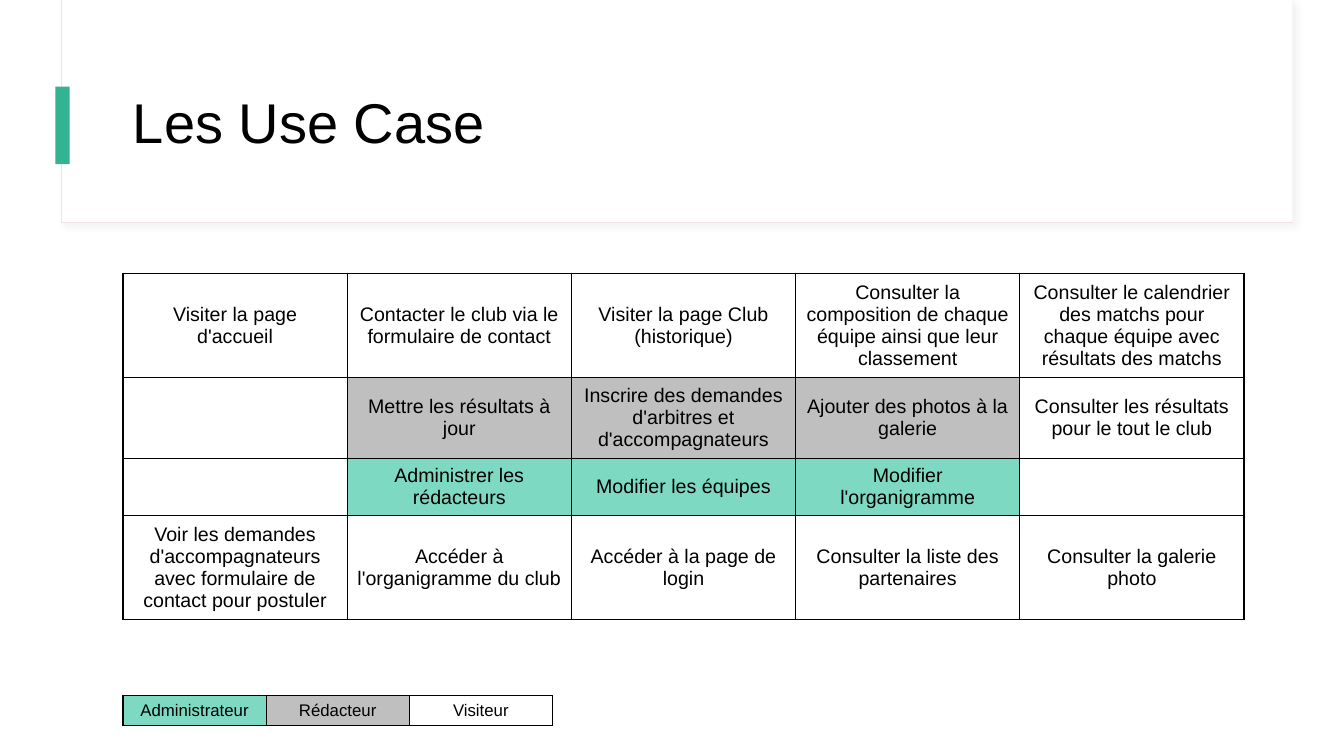
from lxml.etree import SubElement
from pptx import Presentation
from pptx.dml.color import RGBColor
from pptx.enum.shapes import MSO_SHAPE as Shape
from pptx.enum.text import MSO_ANCHOR as Anchor, PP_ALIGN as Align
from pptx.oxml.ns import qn
from pptx.util import Inches, Pt

TITLE = "Les Use Case"
# Each cell holds its wording and the role that owns the use case.
USE_CASES = [
    [("Visiter la page d'accueil", "visitor"),
     ("Contacter le club via le formulaire de contact", "visitor"),
     ("Visiter la page Club (historique)", "visitor"),
     ("Consulter la composition de chaque équipe ainsi que leur classement", "visitor"),
     ("Consulter le calendrier des matchs pour chaque équipe avec résultats des matchs",
      "visitor")],
    [("", "visitor"),
     ("Mettre les résultats à jour", "editor"),
     ("Inscrire des demandes d'arbitres et d'accompagnateurs", "editor"),
     ("Ajouter des photos à la galerie", "editor"),
     ("Consulter les résultats pour le tout le club", "visitor")],
    [("", "visitor"),
     ("Administrer les rédacteurs", "admin"),
     ("Modifier les équipes", "admin"),
     ("Modifier l'organigramme", "admin"),
     ("", "visitor")],
    [("Voir les demandes d'accompagnateurs avec formulaire de contact pour postuler",
      "visitor"),
     ("Accéder à l'organigramme du club", "visitor"),
     ("Accéder à la page de login", "visitor"),
     ("Consulter la liste des partenaires", "visitor"),
     ("Consulter la galerie photo", "visitor")],
]
LEGEND = [[("Administrateur", "admin"), ("Rédacteur", "editor"), ("Visiteur", "visitor")]]

THEME = {
    "font": "Arial", "text": "000000", "border": "000000", "border_width": 1,
    "panel": "FFFFFF", "panel_line": "F0E5E5", "panel_line_width": 0.75,
    "accent": "34B392", "shadow": "D9D9D9",
    "roles": {"admin": "7DD9C1", "editor": "BFBFBF", "visitor": None},
    "title_size": 40, "case_size": 14, "legend_size": 12,
}
SLIDE_SIZE = (13.33, 7.5)
MARGIN = 1.22
CONTENT_WIDTH = 11.12
CASE_TOP, CASE_ROWS = 2.71, [0.97, 0.75, 0.54, 0.97]
LEGEND_TOP, LEGEND_ROWS, LEGEND_WIDTH = 6.9, [0.29], 4.26


def colour(code):
    """Return the colour for a hexadecimal code."""
    return RGBColor.from_string(code)


def add_box(slide, place, fill, line=None):
    """Add a plain rectangle, outlined only when a line colour is given."""
    shape = slide.shapes.add_shape(Shape.RECTANGLE, *map(Inches, place))
    shape.shadow.inherit = False
    shape.fill.solid()
    shape.fill.fore_color.rgb = colour(fill)
    if line:
        shape.line.color.rgb = colour(line)
        shape.line.width = Pt(THEME["panel_line_width"])
    else:
        shape.line.fill.background()
    return shape


def add_shadow(shape):
    """Give a shape a soft shadow towards its lower right."""
    effects = shape.element.spPr.find(qn("a:effectLst"))
    shadow = SubElement(effects, qn("a:outerShdw"), blurRad=str(Pt(4)), dist=str(Pt(3)),
                        dir=str(45 * 60000), algn="tl", rotWithShape="0")
    tint = SubElement(shadow, qn("a:srgbClr"), val=THEME["shadow"])
    SubElement(tint, qn("a:alpha"), val="30000")


def write(frame, text, size, **paragraph_format):
    """Write one vertically centred paragraph into a text frame."""
    frame.word_wrap = True
    frame.vertical_anchor = Anchor.MIDDLE
    paragraph = frame.paragraphs[0]
    for name, value in paragraph_format.items():
        setattr(paragraph, name, value)
    paragraph.font.size = Pt(size)
    if text:
        run = paragraph.add_run()
        run.text = text
        for name, value in {"name": THEME["font"], "size": Pt(size)}.items():
            setattr(run.font, name, value)
        run.font.color.rgb = colour(THEME["text"])


def add_borders(cell):
    """Draw a thin line on all four sides of a cell."""
    properties = cell._tc.get_or_add_tcPr()
    for side in ("lnL", "lnR", "lnT", "lnB"):
        line = SubElement(properties, qn(f"a:{side}"), w=str(Pt(THEME["border_width"])))
        fill = SubElement(line, qn("a:solidFill"))
        SubElement(fill, qn("a:srgbClr"), val=THEME["border"])


def add_role_table(slide, rows, top, width, heights, size):
    """Add a table of equal columns whose cells take their role's colour."""
    place = map(Inches, (MARGIN, top, width, sum(heights)))
    table = slide.shapes.add_table(len(rows), len(rows[0]), *place).table
    table.first_row = table.horz_banding = False
    for column in table.columns:
        column.width = Inches(width / len(rows[0]))
    for row_index, (row, height) in enumerate(zip(rows, heights)):
        table.rows[row_index].height = Inches(height)
        for column_index, (text, role) in enumerate(row):
            cell = table.cell(row_index, column_index)
            cell.vertical_anchor = Anchor.MIDDLE
            write(cell.text_frame, text, size, alignment=Align.CENTER)
            add_borders(cell)
            fill = THEME["roles"][role]
            if fill:
                cell.fill.solid()
                cell.fill.fore_color.rgb = colour(fill)
            else:
                cell.fill.background()


presentation = Presentation()
presentation.slide_width, presentation.slide_height = map(Inches, SLIDE_SIZE)
slide = presentation.slides.add_slide(presentation.slide_layouts[6])

add_shadow(add_box(slide, (0.61, 0, 12.21, 2.21), THEME["panel"], THEME["panel_line"]))
add_box(slide, (0.62, 0, 12.2, 2.2), THEME["panel"])
add_box(slide, (0.55, 0.86, 0.14, 0.77), THEME["accent"])

title = slide.shapes.add_textbox(*map(Inches, (MARGIN, 0.6, CONTENT_WIDTH, 1.29)))
write(title.text_frame, TITLE, THEME["title_size"], line_spacing=0.9)

add_role_table(slide, USE_CASES, CASE_TOP, CONTENT_WIDTH, CASE_ROWS, THEME["case_size"])
add_role_table(slide, LEGEND, LEGEND_TOP, LEGEND_WIDTH, LEGEND_ROWS, THEME["legend_size"])

presentation.save("out.pptx")
